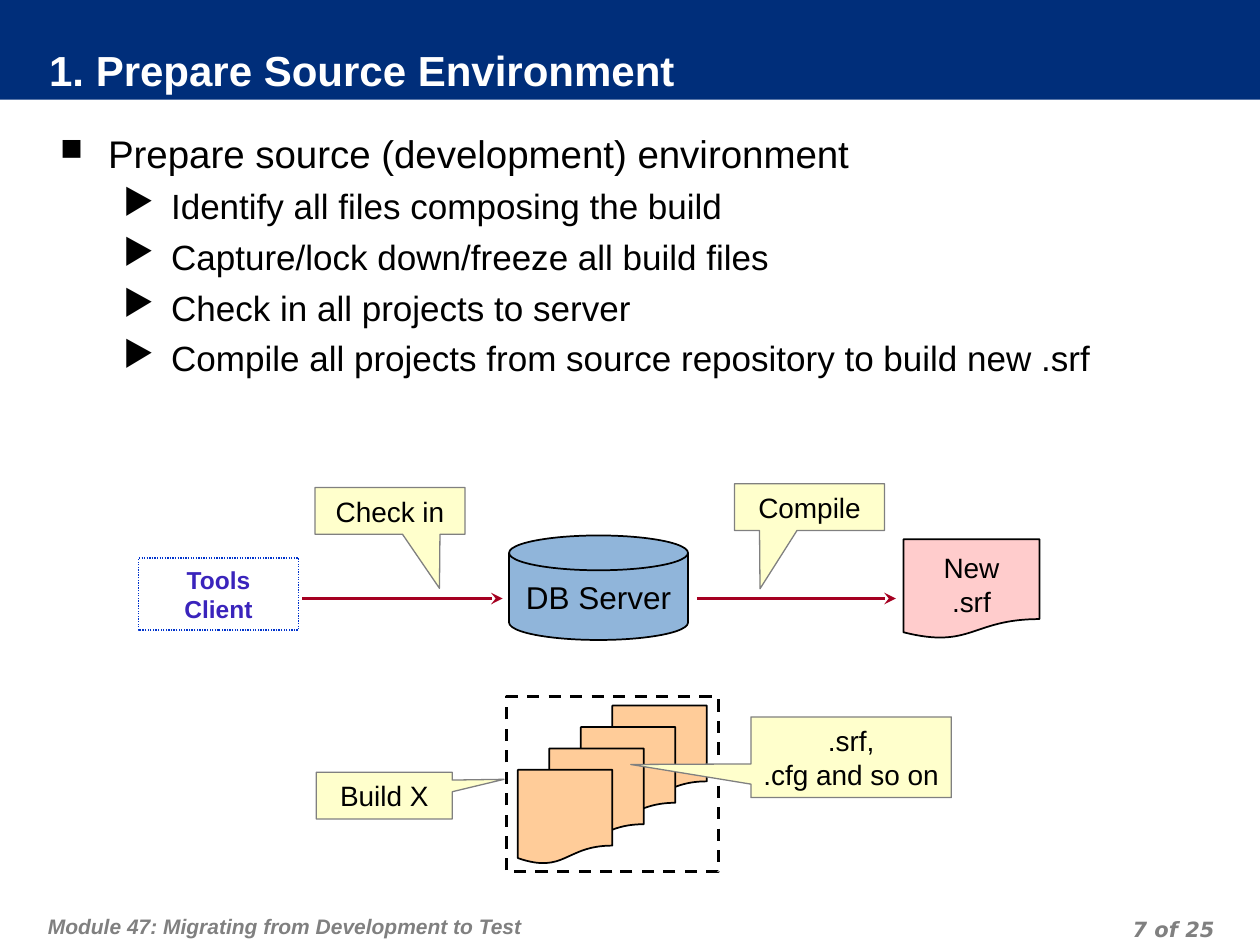
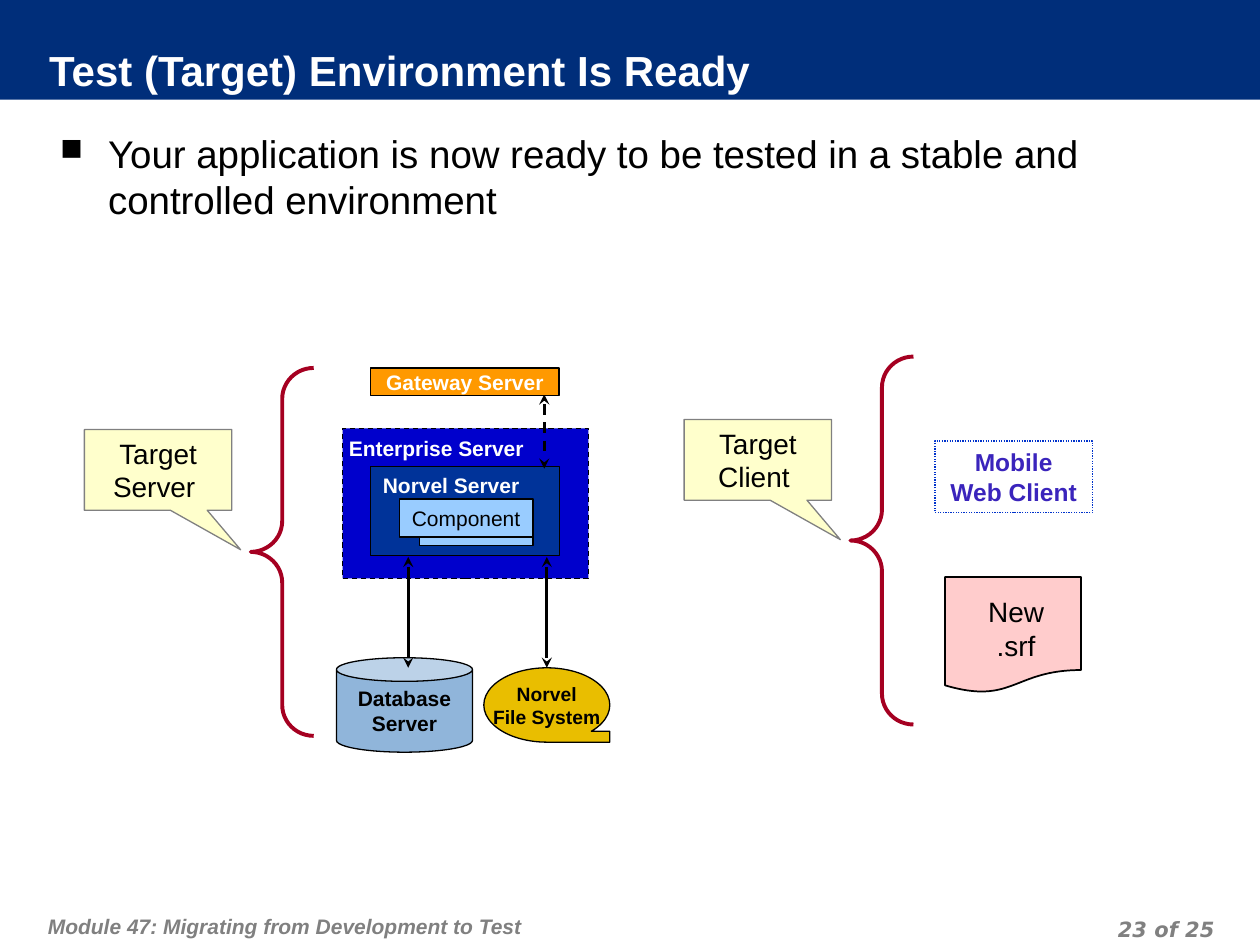
from dataclasses import dataclass
from lxml.etree import SubElement
from pptx import Presentation
from pptx.dml.color import RGBColor
from pptx.enum.dml import MSO_LINE
from pptx.enum.shapes import MSO_CONNECTOR, MSO_SHAPE
from pptx.enum.text import MSO_ANCHOR, MSO_AUTO_SIZE, PP_ALIGN
from pptx.oxml.ns import qn
from pptx.util import Inches, Pt


@dataclass(frozen=True)
class Theme:
    font: str = "Arial"
    num_font: str = "DejaVu Sans"
    navy: str = "002E7A"
    white: str = "FFFFFF"
    black: str = "000000"
    grey: str = "808080"
    red: str = "A50021"
    violet: str = "3A24BC"
    cobalt: str = "0033CC"
    steel: str = "90B5DA"
    pink: str = "FFCCCC"
    peach: str = "FFCC99"
    cream: str = "FFFFCC"
    sky: str = "99CCFF"
    title: int = 24
    body: int = 22
    sub: int = 20
    store: int = 18
    note: int = 16
    client: int = 14
    small: int = 12
    tiny: int = 11


T = Theme()


@dataclass(frozen=True)
class Look:
    form: MSO_SHAPE = MSO_SHAPE.RECTANGLE
    fill: str = ""
    line: str = T.black
    width: float = 1
    dash: MSO_LINE = None
    size: int = T.small
    bold: bool = False
    ink: str = T.black


@dataclass(frozen=True)
class Wire:
    ink: str = T.black
    width: float = 1.5
    dash: MSO_LINE = None
    ends: tuple = ("headEnd", "tailEnd")


DOC = MSO_SHAPE.FLOWCHART_DOCUMENT
LOOKS = {
    "store": Look(MSO_SHAPE.FLOWCHART_MAGNETIC_DISK, T.steel, size=T.store),
    "can": Look(MSO_SHAPE.CAN, T.steel, width=0.75, bold=True),
    "tape": Look(MSO_SHAPE.FLOWCHART_SEQUENTIAL_ACCESS_STORAGE, "E9BE00",
                 width=0.75, size=T.tiny, bold=True),
    "srf": Look(DOC, T.pink),
    "file": Look(DOC, T.peach),
    "note": Look(MSO_SHAPE.RECTANGULAR_CALLOUT, T.cream, T.grey, 0.75,
                 size=T.note),
    "client": Look(line=T.cobalt, width=0.75, dash=MSO_LINE.ROUND_DOT,
                   size=T.client, bold=True, ink=T.violet),
    "build": Look(width=1.75, dash=MSO_LINE.DASH),
    "firm": Look(fill="0000CC", width=0.75, dash=MSO_LINE.DASH),
    "server": Look(fill="003399", width=0.75),
    "part": Look(fill=T.sky),
    "gate": Look(fill="FF9900", bold=True, ink=T.white),
    "brace": Look(MSO_SHAPE.LEFT_BRACE, line=T.red, width=2.25),
}
WIRES = {
    "flow": Wire(T.red, 2.25, ends=("tailEnd",)),
    "link": Wire(),
    "ping": Wire(dash=MSO_LINE.DASH),
}
TEXTS = {
    "label": dict(size=T.note, align=PP_ALIGN.CENTER),
    "head": dict(size=T.small, bold=True, ink=T.white),
}

# Each part: kind, place (a wire takes its two ends), text, adjustments
FILES = [("file", (4.86 - 0.25 * i, 5.6 + 0.17 * i, 0.75, 0.75))
         for i in range(4)]
TIP = (0.56, 0.99)
CURL = (0.49, 0.5)
SLIDES = [
    dict(
        title="1. Prepare Source Environment",
        page="7 of 25",
        points=[
            (0, "Prepare source (development) environment"),
            (1, "Identify all files composing the build"),
            (1, "Capture/lock down/freeze all build files"),
            (1, "Check in all projects to server"),
            (1, "Compile all projects from source repository to build new .srf"),
        ],
        parts=[
            ("store", (4.04, 4.25, 1.42, 0.83), "DB Server"),
            ("srf", (7.17, 4.28, 1.08, 0.79)),
            ("label", (7.17, 4.32, 1.08, 0.64), "New\n.srf"),
            ("note", (2.5, 3.87, 1.19, 0.37), "Check in", (0.33, 1.66)),
            ("flow", (2.4, 4.75, 3.99, 4.75)),
            ("client", (1.1, 4.43, 1.27, 0.57), "Tools\nClient"),
            *FILES,
            ("note", (2.51, 6.13, 1.08, 0.37), "Build X", (0.88, -0.35)),
            ("build", (4.02, 5.53, 1.68, 1.39)),
            ("note", (5.96, 5.69, 1.59, 0.64), ".srf,\n.cfg and so on",
             (-1.1, 0.09)),
            ("flow", (5.53, 4.75, 7.11, 4.75)),
            ("note", (5.83, 3.84, 1.19, 0.37), "Compile", (-0.33, 1.75)),
        ],
    ),
    dict(
        title="Test (Target) Environment Is Ready",
        page="23 of 25",
        points=[(0, "Your application is now ready to be tested in a stable "
                    "and controlled environment")],
        parts=[
            ("firm", (2.72, 3.4, 1.95, 1.19)),
            ("head", (2.67, 3.41, 1.7, 0.3), "Enterprise Server"),
            ("server", (2.94, 3.7, 1.5, 0.71)),
            ("head", (2.94, 3.7, 1.45, 0.3), "Norvel Server"),
            ("part", (3.33, 4.03, 0.9, 0.3)),
            ("part", (3.17, 3.96, 1.06, 0.3), "Component"),
            ("ping", (4.32, 3.13, 4.32, 3.72)),
            ("link", (4.34, 4.42, 4.34, 5.3)),
            ("gate", (2.94, 2.92, 1.5, 0.22), "Gateway Server"),
            ("srf", (7.5, 4.58, 1.08, 0.92)),
            ("label", (7.6, 4.67, 0.93, 0.64), "New\n.srf"),
            ("note", (5.43, 3.33, 1.17, 0.64), "Target\nClient ", TIP),
            ("brace", (6.75, 2.83, 0.5, 2.92), "", CURL),
            ("client", (7.42, 3.5, 1.25, 0.57), "Mobile\nWeb Client"),
            ("can", (2.67, 5.22, 1.08, 0.75), "Database\nServer", (0.25,)),
            ("tape", (3.84, 5.3, 1, 0.59), "Norvel\nFile System"),
            ("link", (3.24, 4.42, 3.24, 5.3)),
            ("note", (0.67, 3.41, 1.17, 0.64), "Target\nServer ", TIP),
            ("brace", (1.99, 2.92, 0.5, 2.92), "", CURL),
        ],
    ),
]
FOOT = "Module 47: Migrating from Development to Test"
# Bullet mark, size percent, text size, indent, space before
LEVELS = [("■", 80, T.body, 0.38, 5.5), ("▶", 100, T.sub, 0.88, 5)]
HANG = 0.38


def rgb(code):
    return RGBColor.from_string(code)


def frame(shape, pads=(0.1, 0.05, 0.1, 0.05), wrap=True, anchor=MSO_ANCHOR.TOP):
    tf = shape.text_frame
    tf.auto_size = MSO_AUTO_SIZE.NONE
    tf.word_wrap = wrap
    tf.vertical_anchor = anchor
    (tf.margin_left, tf.margin_top,
     tf.margin_right, tf.margin_bottom) = map(Inches, pads)
    return tf


def write(tf, text, size, ink=T.black, bold=False, italic=False,
          align=PP_ALIGN.LEFT, font=T.font, lead=None):
    for i, line in enumerate(text.split("\n")):
        para = tf.add_paragraph() if i else tf.paragraphs[0]
        para.alignment = align
        para.line_spacing = lead
        say(para, line, size, ink, bold, italic, font)


def say(para, text, size, ink=T.black, bold=False, italic=False, font=T.font):
    run = para.add_run()
    run.text = text
    face = run.font
    face.name, face.size, face.bold, face.italic = font, Pt(size), bold, italic
    face.color.rgb = rgb(ink)


def paint(shape, fill):
    if fill:
        shape.fill.solid()
        shape.fill.fore_color.rgb = rgb(fill)
    else:
        shape.fill.background()


def stroke(line, ink, width, dash):
    line.color.rgb = rgb(ink)
    line.width = Pt(width)
    if dash:
        line.dash_style = dash


def draw(slide, look, place, text="", adjust=()):
    shape = slide.shapes.add_shape(look.form, *map(Inches, place))
    shape.shadow.inherit = False
    paint(shape, look.fill)
    stroke(shape.line, look.line, look.width, look.dash)
    for i, value in enumerate(adjust):
        shape.adjustments[i] = value
    if text:
        tf = frame(shape, wrap=False, anchor=MSO_ANCHOR.MIDDLE)
        write(tf, text, look.size, look.ink, look.bold, align=PP_ALIGN.CENTER)


def join(slide, wire, ends):
    link = slide.shapes.add_connector(MSO_CONNECTOR.STRAIGHT, *map(Inches, ends))
    stroke(link.line, wire.ink, wire.width, wire.dash)
    for end in wire.ends:
        SubElement(link.line._get_or_add_ln(), qn("a:" + end), type="stealth")
    SubElement(link._element.spPr, qn("a:effectLst"))


def label(slide, place, text, pads=(0.1, 0.05, 0.1, 0.05), **style):
    box = slide.shapes.add_textbox(*map(Inches, place))
    write(frame(box, pads), text, **style)


def base(slide, title, page):
    """Add the band, footers and title that every slide shares."""
    band = slide.shapes.add_shape(MSO_SHAPE.RECTANGLE, 0, 0, Inches(10), Inches(0.79))
    band.shadow.inherit = False
    paint(band, T.navy)
    band.line.fill.background()
    foot = dict(size=T.small, ink=T.grey, bold=True, italic=True, lead=Pt(18))
    label(slide, (0.33, 7.1, 6.18, 0.4), FOOT, (0.05, 0.1, 0.05, 0.05), **foot)
    label(slide, (7.36, 7.22, 2.33, 0.25), page, (0.05, 0, 0.05, 0),
          align=PP_ALIGN.RIGHT, font=T.num_font, **foot)
    head = slide.shapes.title
    band._element.addnext(head._element)
    head.left, head.top, head.width, head.height = map(Inches, (0.39, 0.38, 9.17, 0.4))
    paint(head, T.navy)
    tf = frame(head, (0, 0, 0.05, 0.05), anchor=MSO_ANCHOR.MIDDLE)
    write(tf, title, T.title, T.white, True)


def bullets(slide, points):
    box = slide.shapes.add_textbox(*map(Inches, (0.38, 0.93, 9.3, 6.18)))
    tf = frame(box, (0.1, 0.1, 0.1, 0.05))
    for i, (level, text) in enumerate(points):
        mark, scale, size, indent, gap = LEVELS[level]
        para = tf.add_paragraph() if i else tf.paragraphs[0]
        props = para._p.get_or_add_pPr()
        props.set("marL", str(Inches(indent)))
        props.set("indent", str(-Inches(HANG)))
        tint = SubElement(props, qn("a:buClr"))
        SubElement(tint, qn("a:srgbClr"), val=T.black)
        SubElement(props, qn("a:buSzPct"), val=str(scale * 1000))
        SubElement(props, qn("a:buChar"), char=mark)
        para.level = level
        if i:
            para.space_before = Pt(gap)
        say(para, text, size)


def main():
    deck = Presentation()
    deck.slide_width, deck.slide_height = Inches(10), Inches(7.5)
    for data in SLIDES:
        slide = deck.slides.add_slide(deck.slide_layouts[5])
        base(slide, data["title"], data["page"])
        bullets(slide, data["points"])
        for kind, place, *rest in data["parts"]:
            if kind in WIRES:
                join(slide, WIRES[kind], place)
            elif kind in TEXTS:
                label(slide, place, *rest, **TEXTS[kind])
            else:
                draw(slide, LOOKS[kind], place, *rest)
    deck.save("out.pptx")


if __name__ == "__main__":
    main()
